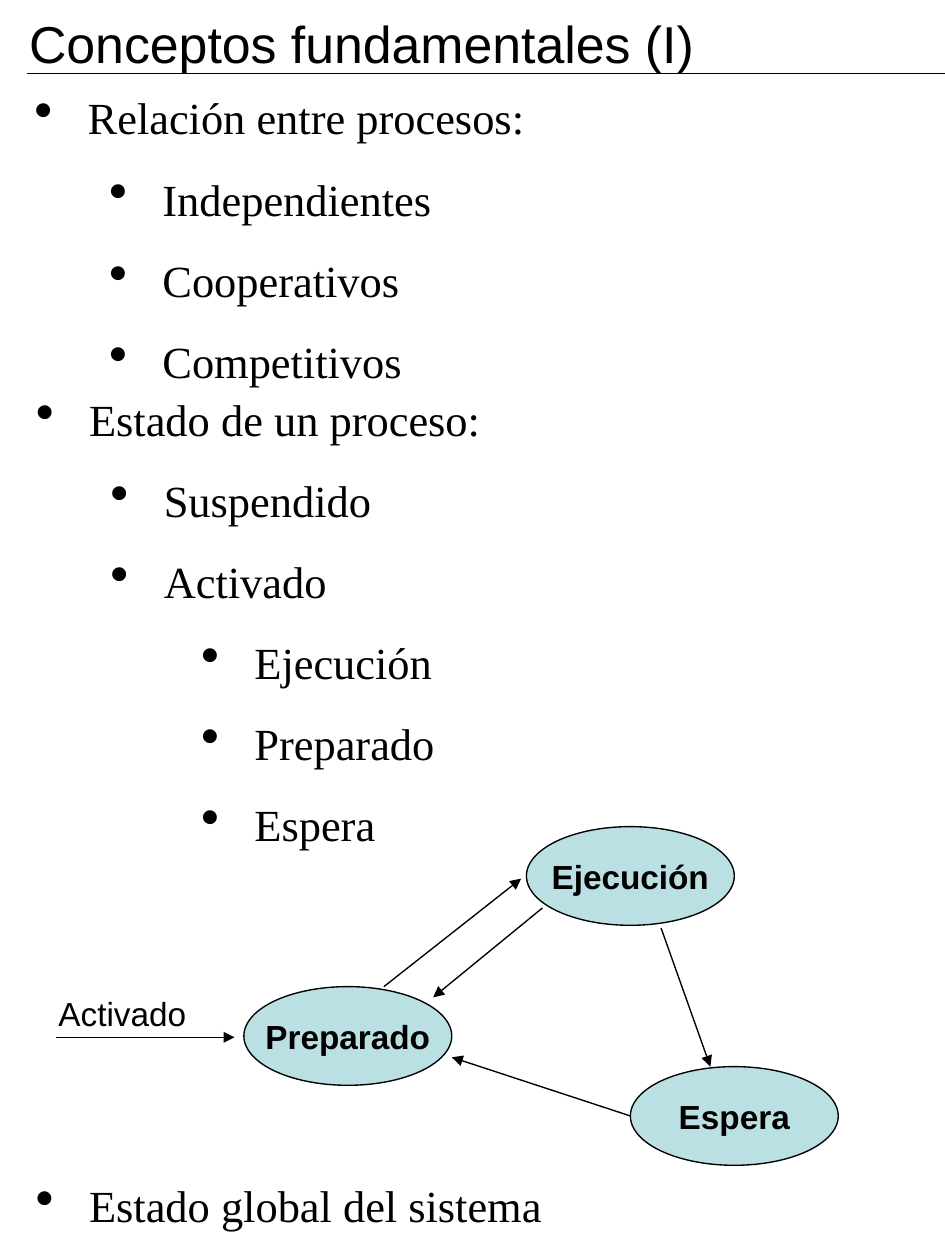
from lxml import etree
from pptx import Presentation
from pptx.dml.color import RGBColor
from pptx.enum.shapes import MSO_CONNECTOR, MSO_SHAPE
from pptx.enum.text import MSO_ANCHOR, MSO_AUTO_SIZE, PP_ALIGN
from pptx.oxml.ns import qn
from pptx.util import Inches, Pt

STRAIGHT = MSO_CONNECTOR.STRAIGHT
OVAL = MSO_SHAPE.OVAL
MIDDLE = MSO_ANCHOR.MIDDLE
GROW = MSO_AUTO_SIZE.SHAPE_TO_FIT_TEXT
CENTER = PP_ALIGN.CENTER

COLORS = {"ink": "000000", "state": "BBE0E3"}
INK = RGBColor.from_string(COLORS["ink"])
LINE_WIDTH = Pt(0.74)
HANGING = 0.4
LEVEL_MARGINS = {0: 0.43, 1: 0.99, 3: 1.67}

deck = Presentation()
deck.slide_width, deck.slide_height = Inches(7.09), Inches(9.45)
page = deck.slides.add_slide(deck.slide_layouts[6])


def add_text(left, top, width, height, items, font_name, size, before, bullets=False):
    """Add a text box with one paragraph per (level, text) item."""
    box = page.shapes.add_textbox(Inches(left), Inches(top), Inches(width), Inches(height))
    frame = box.text_frame
    frame.word_wrap = True
    frame.auto_size = GROW
    for index, (level, text) in enumerate(items):
        para = frame.add_paragraph() if index else frame.paragraphs[0]
        para.text = text
        para.level = level
        para.space_before = Pt(before)
        if bullets:
            props = para._p.get_or_add_pPr()
            props.set("marL", str(Inches(LEVEL_MARGINS[level])))
            props.set("indent", str(-Inches(HANGING)))
            bullet_color = etree.SubElement(props, qn("a:buClr"))
            etree.SubElement(bullet_color, qn("a:srgbClr"), val=COLORS["ink"])
            etree.SubElement(props, qn("a:buSzPct"), val="120000")
            etree.SubElement(props, qn("a:buChar"), char="•")
        para.font.name = font_name
        para.font.size = Pt(size)
        para.font.color.rgb = INK


def add_line(start, end, arrow=True):
    """Draw a thin line between two points, with an arrowhead at its end."""
    points = [Inches(value) for value in (*start, *end)]
    line = page.shapes.add_connector(STRAIGHT, *points)
    line.line.color.rgb = INK
    line.line.width = LINE_WIDTH
    if arrow:
        etree.SubElement(line.line._get_or_add_ln(), qn("a:tailEnd"), type="triangle")
    etree.SubElement(line._element.spPr, qn("a:effectLst"))


# Title and its rule
add_text(0.12, 0.04, 6.97, 0.57, [(0, "Conceptos fundamentales (I)")], "Arial", 28, 17.5)
add_line((0.2, 0.55), (7.09, 0.55), arrow=False)

# Bulleted lists
relations = [(0, "Relación entre procesos:"), (1, "Independientes"),
             (1, "Cooperativos"), (1, "Competitivos")]
process_states = [(0, "Estado de un proceso:"), (1, "Suspendido"), (1, "Activado"),
                  (3, "Ejecución"), (3, "Preparado"), (3, "Espera")]
system_state = [(0, "Estado global del sistema")]
for bounds, items in (
    ((0.13, 0.63, 6.61, 2.33), relations),
    ((0.14, 2.89, 6.61, 3.54), process_states),
    ((0.14, 8.79, 5.83, 0.5), system_state),
):
    add_text(*bounds, items, "Times New Roman", 24, 15, bullets=True)

# State diagram
for name, left, top in (("Preparado", 1.83, 7.4), ("Ejecución", 3.95, 6.2), ("Espera", 4.73, 8)):
    state = page.shapes.add_shape(OVAL, Inches(left), Inches(top), Inches(1.56), Inches(0.74))
    state.shadow.inherit = False
    state.fill.solid()
    state.fill.fore_color.rgb = RGBColor.from_string(COLORS["state"])
    state.line.color.rgb = INK
    state.line.width = LINE_WIDTH
    frame = state.text_frame
    frame.word_wrap = False
    frame.vertical_anchor = MIDDLE
    para = frame.paragraphs[0]
    para.text = name
    para.alignment = CENTER
    para.font.name = "Arial"
    para.font.size = Pt(18)
    para.font.bold = True
    para.font.color.rgb = INK

transitions = (
    ((0.42, 7.78), (1.76, 7.78)),
    ((4.07, 6.81), (3.25, 7.48)),
    ((2.88, 7.4), (3.91, 6.59)),
    ((4.96, 6.96), (5.33, 8)),
    ((4.73, 8.37), (3.39, 7.93)),
)
for start, end in transitions:
    add_line(start, end)
add_text(0.34, 7.4, 1.29, 0.4, [(0, "Activado")], "Arial", 18, 11.2)

deck.save("out.pptx")
